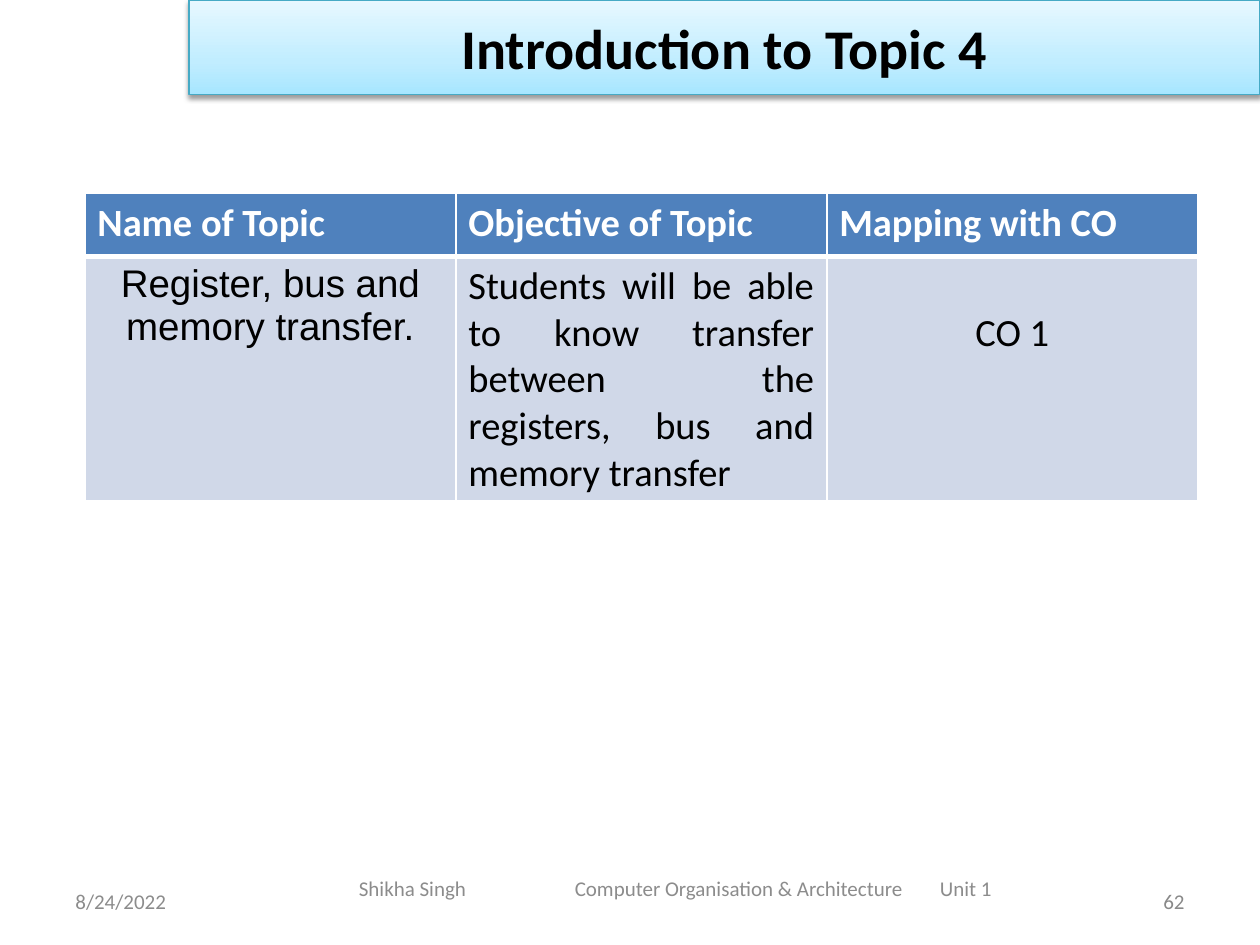
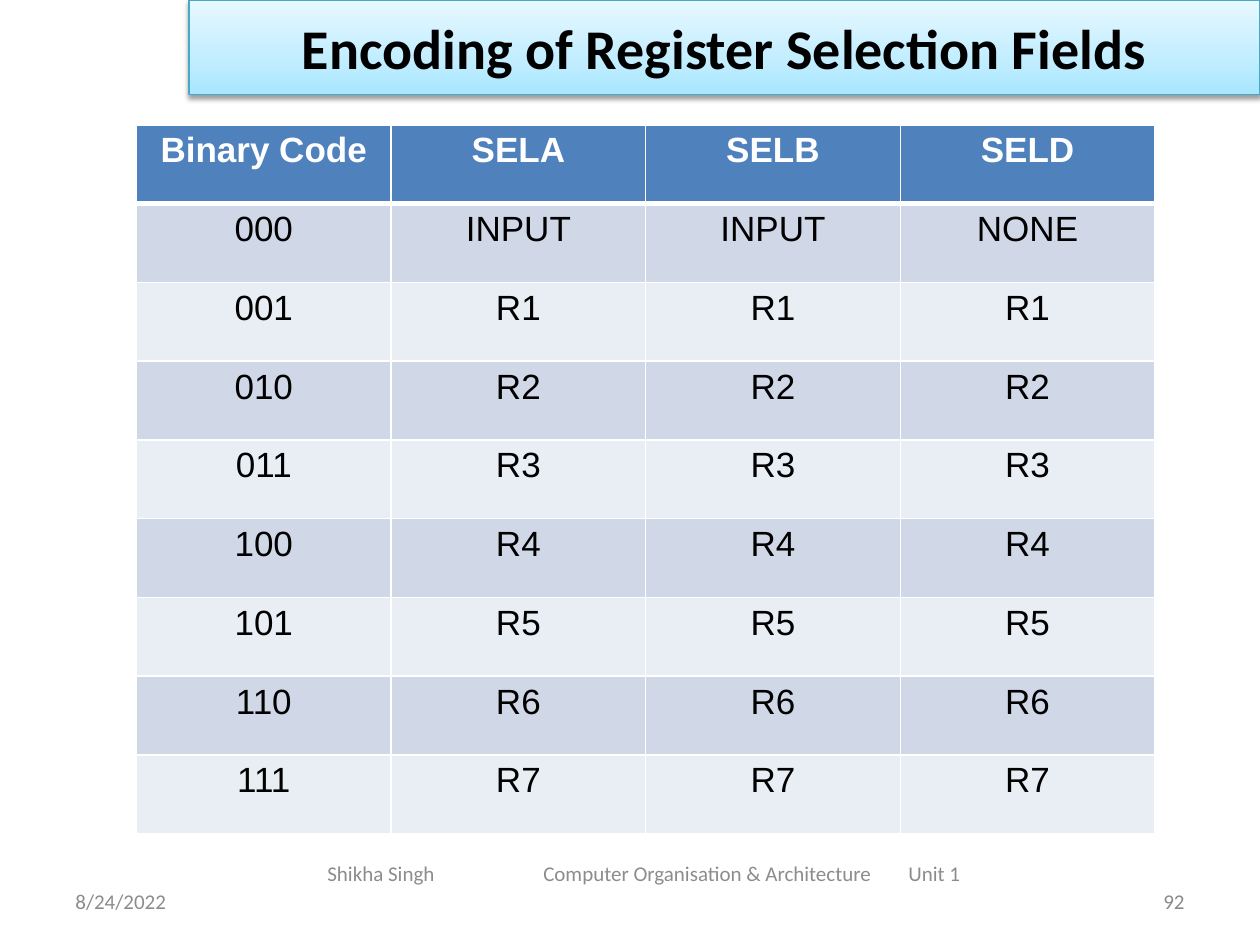
from dataclasses import dataclass
from lxml.etree import SubElement
from pptx import Presentation
from pptx.dml.color import RGBColor
from pptx.enum.shapes import MSO_SHAPE
from pptx.enum.text import MSO_ANCHOR, PP_ALIGN
from pptx.oxml.ns import qn
from pptx.util import Pt


@dataclass
class Theme:
    head: str = "4F81BD"
    bands: tuple = ("D0D8E8", "E9EDF4")
    white: str = "FFFFFF"
    black: str = "000000"
    grey: str = "8C8C8C"
    page: str = "898989"
    edge: str = "46AAC5"
    fade: tuple = ((0, "A7E6FF"), (35, "C1EDFF"), (100, "E7F8FF"))
    sans: str = "Calibri"
    alt: str = "Arial"
    title: int = 32
    foot: int = 12


theme = Theme()
LEFT, MID, RIGHT, JUST = PP_ALIGN.LEFT, PP_ALIGN.CENTER, PP_ALIGN.RIGHT, PP_ALIGN.JUSTIFY


def write(frame, text, size, color, align=LEFT, font=theme.sans, bold=False):
    para = frame.paragraphs[0]
    para.alignment = align
    run = para.add_run()
    run.text = text
    run.font.size = Pt(size)
    run.font.name = font
    run.font.bold = bold
    run.font.color.rgb = RGBColor.from_string(color)


def node(parent, tag, **attrs):
    return SubElement(parent, qn(tag), {k: str(v) for k, v in attrs.items()})


# Content: each table cell is (text, alignment, font)
topic = [
    [(t, LEFT, theme.sans) for t in ("Name of Topic", "Objective of Topic", "Mapping with CO")],
    [("Register, bus and memory transfer.", MID, theme.alt),
     ("Students will be able to know transfer between the registers, bus and memory transfer",
      JUST, theme.sans),
     ("CO 1", MID, theme.sans)],
]
codes = [("Binary Code", "SELA", "SELB", "SELD"), ("000", "INPUT", "INPUT", "NONE")]
codes += [(f"{n:03b}",) + (f"R{n}",) * 3 for n in range(1, 8)]
fields = [[(t, MID, theme.alt) for t in row] for row in codes]

# Title, page, credit box (left, top), table (left, top), column width, row heights, size, cells
pages = [
    ("Introduction to Topic 4", "62", (198, 500.4), (48.5, 110.5),
     212, [36, 139.5], 22, topic),
    ("Encoding of Register Selection Fields", "92", (180, 491.8), (78, 71.4),
     145.5, [45] * 9, 20, fields),
]

deck = Presentation()
deck.slide_width, deck.slide_height = Pt(720), Pt(540)

for title, page, credit, spot, wide, highs, size, rows in pages:
    slide = deck.slides.add_slide(deck.slide_layouts[6])

    # Footer: date, credit line, page number
    names = "Shikha Singh\tComputer Organisation & Architecture\tUnit 1"
    feet = [
        ("8/24/2022", 36, 500.4, 168, LEFT, theme.grey),
        (names, *credit, 396, LEFT, theme.grey),
        (page, 516, 500.4, 168, RIGHT, theme.page),
    ]
    for text, left, top, span, align, color in feet:
        frame = slide.shapes.add_textbox(Pt(left), Pt(top), Pt(span), Pt(28.8)).text_frame
        frame.word_wrap = True
        frame.vertical_anchor = MSO_ANCHOR.MIDDLE
        if text == names:
            frame.margin_bottom = Pt(18)
            tabs = node(frame.paragraphs[0]._p.get_or_add_pPr(), "a:tabLst")
            for stop in (123.4, 332):
                node(tabs, "a:tab", pos=Pt(stop), algn="l")
        write(frame, text, theme.foot, color, align)

    # Title band with gradient and soft shadow
    band = slide.shapes.add_shape(MSO_SHAPE.RECTANGLE, Pt(108), 0, Pt(612), Pt(54))
    band.fill.gradient()
    band.fill.gradient_angle = 90
    stops = band._element.spPr.find(".//" + qn("a:gsLst"))
    stops.clear()
    for place, color in theme.fade:
        node(node(stops, "a:gs", pos=place * 1000), "a:srgbClr", val=color)
    band.line.color.rgb = RGBColor.from_string(theme.edge)
    band.line.width = Pt(0.75)
    band.shadow.inherit = False
    glow = node(band._element.spPr.find(qn("a:effectLst")), "a:outerShdw",
                blurRad=Pt(3.1), dist=Pt(1.6), dir=5400000, rotWithShape=0)
    node(node(glow, "a:srgbClr", val=theme.black), "a:alpha", val=38000)
    band.text_frame.vertical_anchor = MSO_ANCHOR.MIDDLE
    write(band.text_frame, title, theme.title, theme.black, MID, bold=True)

    # Table with white rules, thicker under the header
    count = len(rows[0])
    grid = slide.shapes.add_table(len(rows), count, Pt(spot[0]), Pt(spot[1]),
                                  Pt(wide * count), Pt(sum(highs))).table
    for col in grid.columns:
        col.width = Pt(wide)
    for r, row in enumerate(rows):
        grid.rows[r].height = Pt(highs[r])
        for c, (text, align, font) in enumerate(row):
            cell = grid.cell(r, c)
            props = cell._tc.get_or_add_tcPr()
            for side in "LRTB":
                thick = (r, side) in ((0, "B"), (1, "T"))
                rule = node(props, f"a:ln{side}", w=Pt(3 if thick else 1))
                node(node(rule, "a:solidFill"), "a:srgbClr", val=theme.white)
            fill = theme.bands[(r - 1) % 2] if r else theme.head
            cell.fill.solid()
            cell.fill.fore_color.rgb = RGBColor.from_string(fill)
            if text == "CO 1":
                cell.margin_top = Pt(30.4)
            write(cell.text_frame, text, size, theme.black if r else theme.white,
                  align, font, r == 0)

deck.save("out.pptx")
